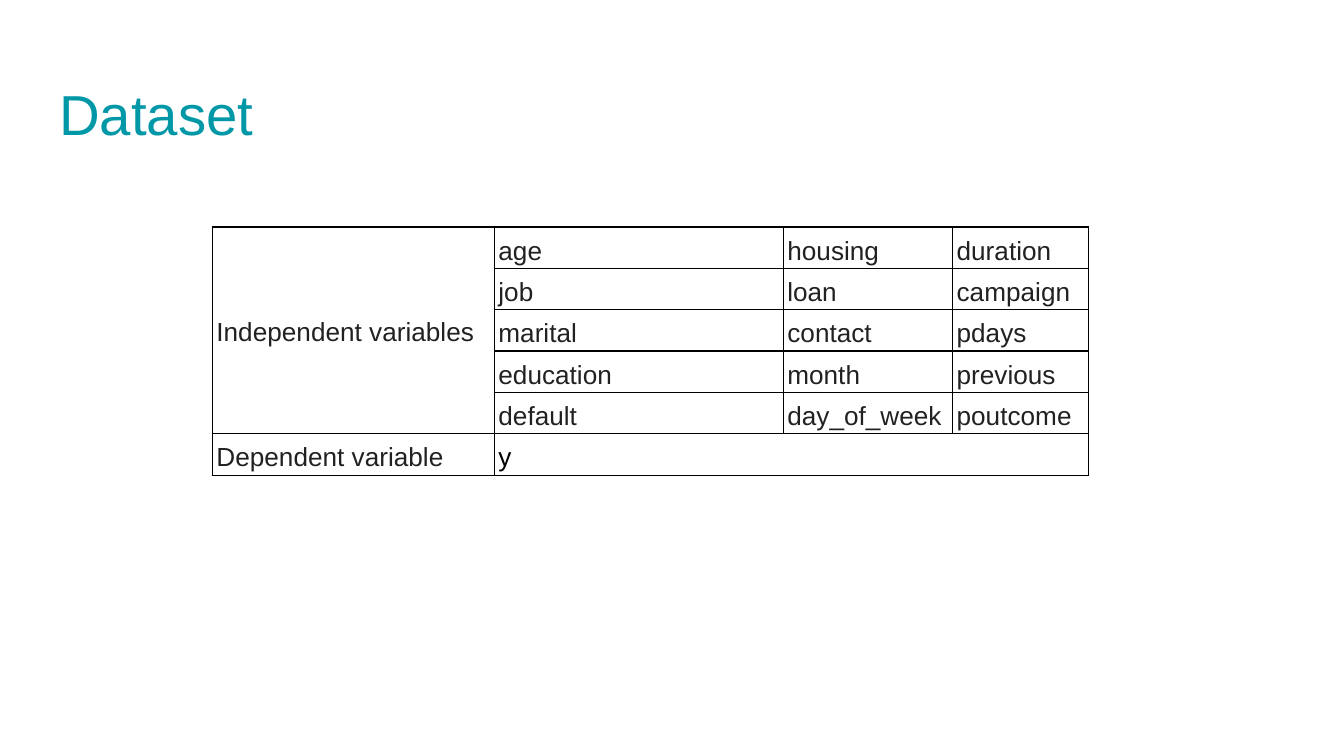
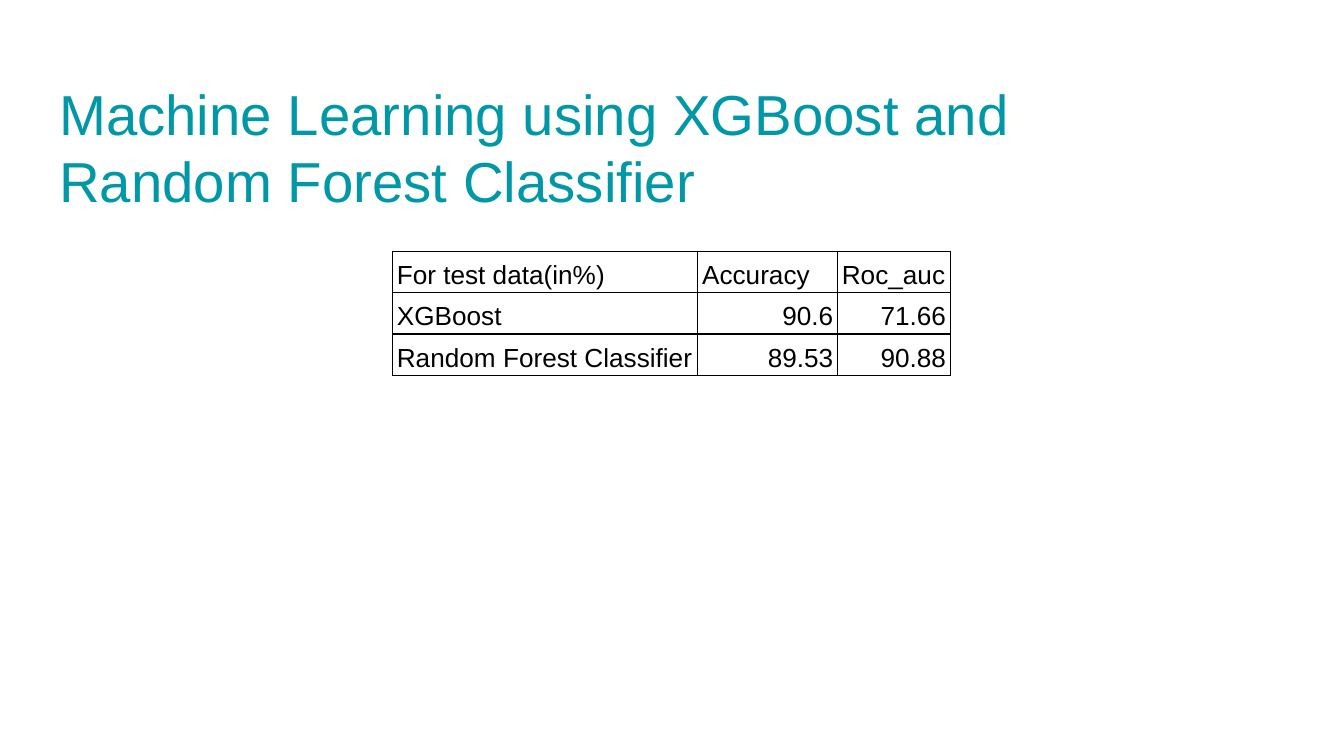
from lxml.etree import SubElement
from pptx import Presentation
from pptx.dml.color import RGBColor
from pptx.enum.text import MSO_ANCHOR, PP_ALIGN
from pptx.oxml.ns import qn
from pptx.util import Cm, Pt

COLORS = {"title": "0097A7", "body": "212121", "black": "000000", "white": "FFFFFF"}
FONT = "Arial"
ROW_HEIGHT = 0.69


class Deck:
    """Holds the shared style and the slide being filled."""

    def __init__(self):
        self.prs = Presentation()
        self.prs.slide_width, self.prs.slide_height = Cm(25.4), Cm(14.29)
        self.slide = None

    def new_slide(self):
        self.slide = self.prs.slides.add_slide(self.prs.slide_layouts[6])

    def style(self, paragraph, size, color):
        paragraph.font.name = FONT
        paragraph.font.size = Pt(size)
        paragraph.font.color.rgb = RGBColor.from_string(COLORS[color])

    def title(self, text, width, height):
        frame = self.slide.shapes.add_textbox(
            Cm(0.87), Cm(1.24), Cm(width), Cm(height)).text_frame
        frame.word_wrap = True
        frame.margin_left = frame.margin_right = Cm(0.25)
        frame.margin_top = frame.margin_bottom = Cm(0.25)
        frame.text = text
        self.style(frame.paragraphs[0], 30.2, "title")

    def table(self, left, top, widths, rows, color):
        """Draw rows as a ruled table; numbers go right, None stays empty for a merge."""
        table = self.slide.shapes.add_table(
            len(rows), len(widths), Cm(left), Cm(top),
            Cm(sum(widths)), Cm(ROW_HEIGHT * len(rows))).table
        table.first_row = table.horz_banding = False
        for column, width in zip(table.columns, widths):
            column.width = Cm(width)
        for r, row in enumerate(rows):
            table.rows[r].height = Cm(ROW_HEIGHT)
            for c, value in enumerate(row):
                self.cell(table.cell(r, c), value, color)
        return table

    def cell(self, cell, value, color):
        cell.margin_left = cell.margin_right = Cm(0.08)
        cell.margin_top = cell.margin_bottom = Cm(0.05)
        cell.vertical_anchor = MSO_ANCHOR.BOTTOM
        self.borders(cell)
        cell.fill.background()
        cell.text = "" if value is None else str(value)
        paragraph = cell.text_frame.paragraphs[0]
        paragraph.line_spacing = 1.15
        if isinstance(value, float):
            paragraph.alignment = PP_ALIGN.RIGHT
        self.style(paragraph, 14, color)

    def borders(self, cell):
        properties = cell._tc.get_or_add_tcPr()
        for side in ("a:lnL", "a:lnR", "a:lnT", "a:lnB"):
            line = SubElement(properties, qn(side), w=str(Pt(0.75)))
            fill = SubElement(line, qn("a:solidFill"))
            SubElement(fill, qn("a:srgbClr"), val=COLORS["black"])


def dataset_slide(deck):
    deck.new_slide()
    deck.title("Dataset", 23.67, 1.6)
    variables = deck.table(4.01, 4.29, [5.33, 5.46, 3.2, 2.57], [
        ["Independent variables", "age", "housing", "duration"],
        [None, "job", "loan", "campaign"],
        [None, "marital", "contact", "pdays"],
        [None, "education", "month", "previous"],
        [None, "default", "day_of_week", "poutcome"],
        ["Dependent variable", "y", None, None],
    ], "body")
    independent, dependent = variables.cell(0, 0), variables.cell(5, 1)
    for cell in variables.iter_cells():
        cell.fill.solid()
        cell.fill.fore_color.rgb = RGBColor.from_string(COLORS["white"])
    independent.merge(variables.cell(4, 0))
    independent.vertical_anchor = MSO_ANCHOR.MIDDLE
    dependent.merge(variables.cell(5, 3))
    dependent.fill.background()
    deck.style(dependent.text_frame.paragraphs[0], 14, "black")


def results_slide(deck):
    deck.new_slide()
    deck.title("Machine Learning using XGBoost and Random Forest Classifier", 22.6, 3.53)
    deck.table(7.42, 4.75, [5.77, 2.64, 2.13], [
        ["For test data(in%)", "Accuracy", "Roc_auc"],
        ["XGBoost", 90.6, 71.66],
        ["Random Forest Classifier", 89.53, 90.88],
    ], "black")


def main():
    deck = Deck()
    dataset_slide(deck)
    results_slide(deck)
    deck.prs.save("out.pptx")


if __name__ == "__main__":
    main()
